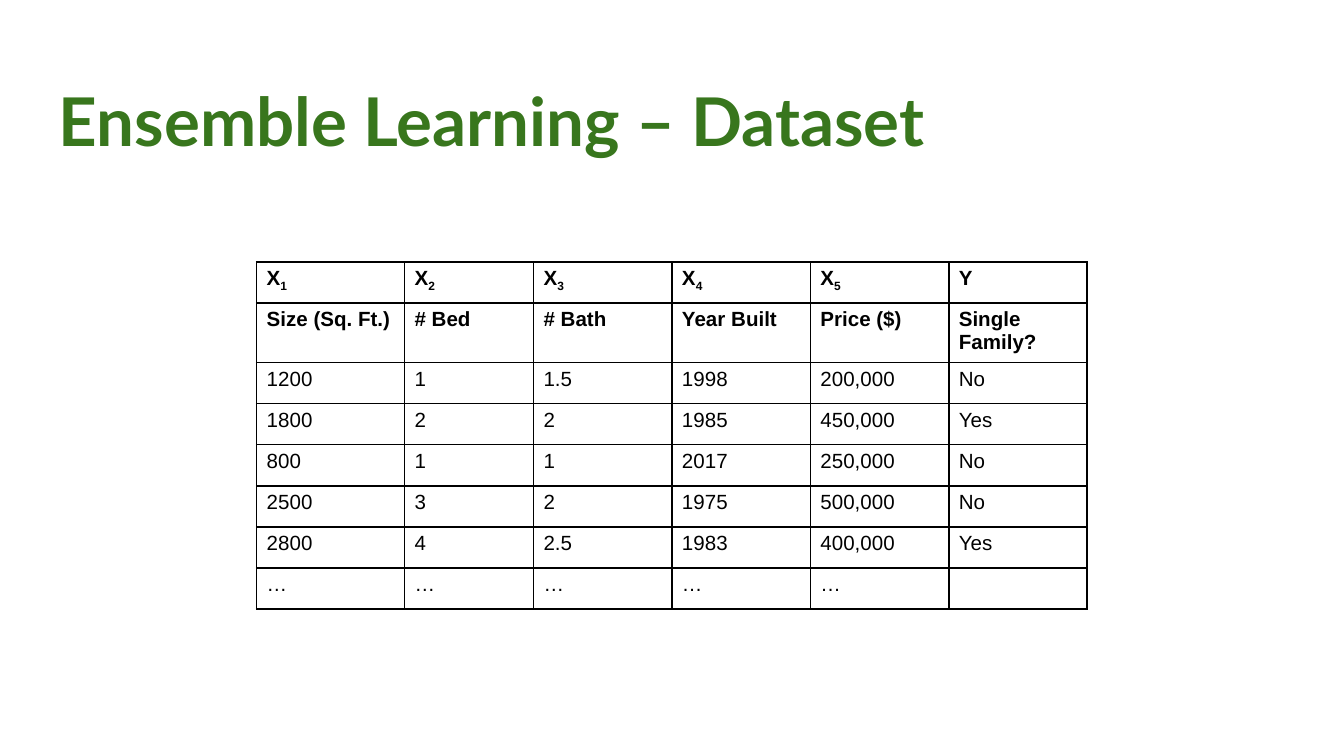
import lxml.etree
import pptx
import pptx.dml.color
import pptx.oxml.ns
import pptx.util

Inches, Pt = pptx.util.Inches, pptx.util.Pt
qn = pptx.oxml.ns.qn

# Content
TITLE = "Ensemble Learning – Dataset"
SYMBOLS = [("X", "1"), ("X", "2"), ("X", "3"), ("X", "4"), ("X", "5"), ("Y", "")]
HEADINGS = ["Size (Sq. Ft.)", "# Bed", "# Bath", "Year Built", "Price ($)", "Single Family?"]
HOUSES = [
    ["1200", "1", "1.5", "1998", "200,000", "No"],
    ["1800", "2", "2", "1985", "450,000", "Yes"],
    ["800", "1", "1", "2017", "250,000", "No"],
    ["2500", "3", "2", "1975", "500,000", "No"],
    ["2800", "4", "2.5", "1983", "400,000", "Yes"],
    ["…", "…", "…", "…", "…", ""],
]

# Format
COLORS = {"title": "38761D", "ink": "000000", "paper": "FFFFFF"}
COLUMN_WIDTHS = [1.1, 0.96] + [1.03] * 4
ROW_POINTS = [22, 30.5] + [22] * len(HOUSES)
CELL_SIZE = 11


def rgb(name):
    return pptx.dml.color.RGBColor.from_string(COLORS[name])


def write(frame, text, subscript="", size=CELL_SIZE, font="Arial", color="ink", bold=False):
    """Put text, with an optional subscript, in the first paragraph."""
    paragraph = frame.paragraphs[0]
    for part, baseline in ((text, None), (subscript, "-25000")):
        if not part:
            continue
        run = paragraph.add_run()
        run.text = part
        run.font.size, run.font.name, run.font.bold = Pt(size), font, bold
        run.font.color.rgb = rgb(color)
        if baseline:
            run.font._element.set("baseline", baseline)
    if not text:  # keeps an empty cell from stretching its row
        lxml.etree.SubElement(paragraph._p, qn("a:endParaRPr"), sz=str(size * 100))


def set_margins(target, across, down):
    target.margin_left = target.margin_right = across
    target.margin_top = target.margin_bottom = down


def add_borders(cell):
    properties = cell._tc.get_or_add_tcPr()
    for position, side in enumerate(("lnL", "lnR", "lnT", "lnB")):
        line = lxml.etree.Element(qn(f"a:{side}"), w=str(Pt(1)))
        fill = lxml.etree.SubElement(line, qn("a:solidFill"))
        lxml.etree.SubElement(fill, qn("a:srgbClr"), val=COLORS["ink"])
        properties.insert(position, line)


# Slide in the 16:9 format
deck = pptx.Presentation()
deck.slide_width = Inches(10)
deck.slide_height = Inches(10) * 9 // 16
slide = deck.slides.add_slide(deck.slide_layouts[6])

# Title
title = slide.shapes.add_textbox(Inches(0.34), Inches(0.49), Inches(9.32), Inches(0.63)).text_frame
title.word_wrap = True
set_margins(title, Inches(0.1), Inches(0.1))
write(title, TITLE, size=36, font="Lato", color="title", bold=True)

# Dataset table: two bold heading rows, then the houses
rows = [SYMBOLS] + [[(text, "") for text in row] for row in [HEADINGS] + HOUSES]
dataset = slide.shapes.add_table(
    len(rows), len(HEADINGS), Inches(1.91), Inches(1.95),
    Inches(sum(COLUMN_WIDTHS)), Pt(sum(ROW_POINTS))).table
dataset.horz_banding = False
for column, width in zip(dataset.columns, COLUMN_WIDTHS):
    column.width = Inches(width)
for row, height in zip(dataset.rows, ROW_POINTS):
    row.height = Pt(height)

for r, row in enumerate(rows):
    for c, (text, subscript) in enumerate(row):
        cell = dataset.cell(r, c)
        set_margins(cell, Pt(5.4), Pt(2.7))
        cell.fill.solid()
        cell.fill.fore_color.rgb = rgb("paper")
        add_borders(cell)
        write(cell.text_frame, text, subscript, bold=r < 2)

deck.save("out.pptx")
